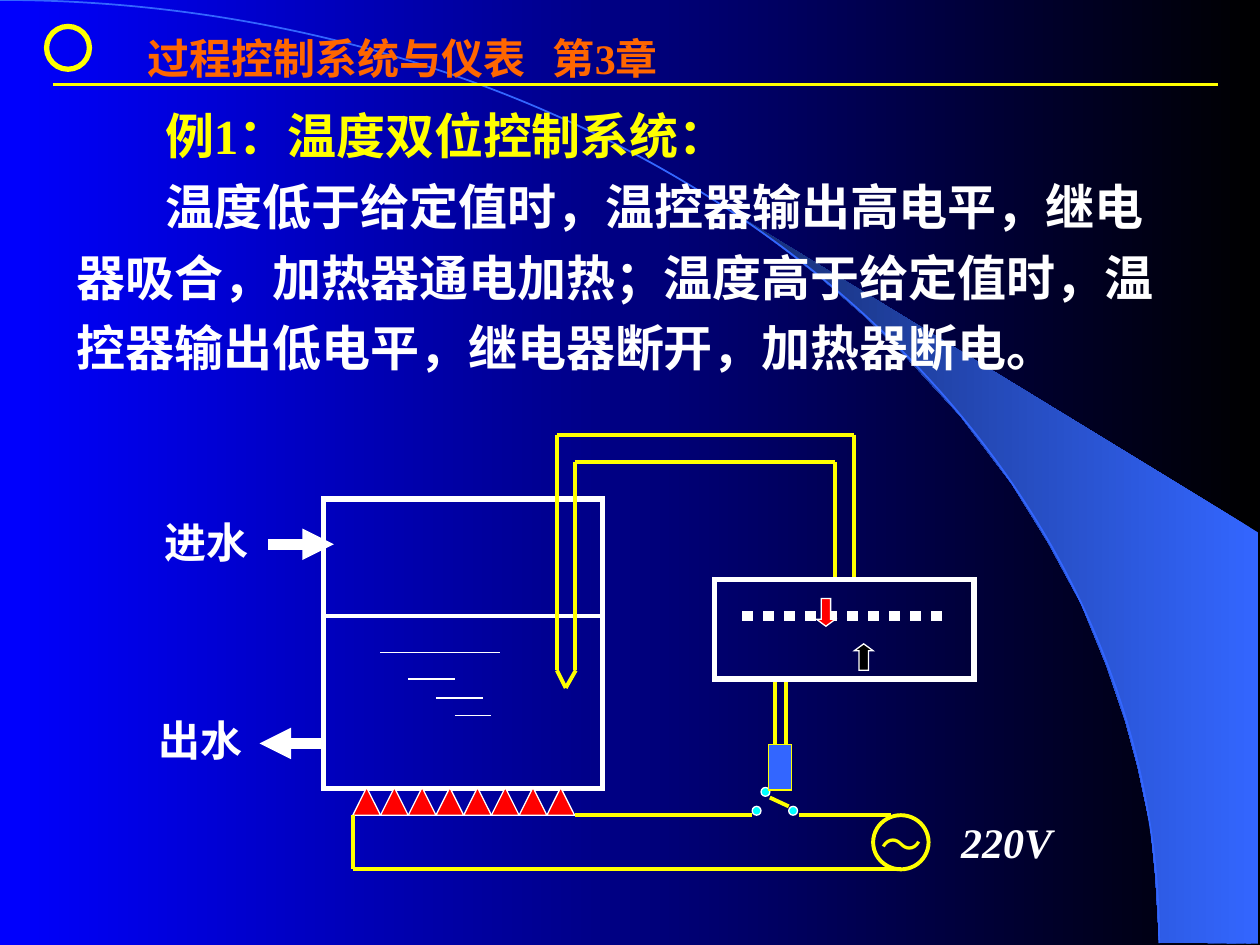
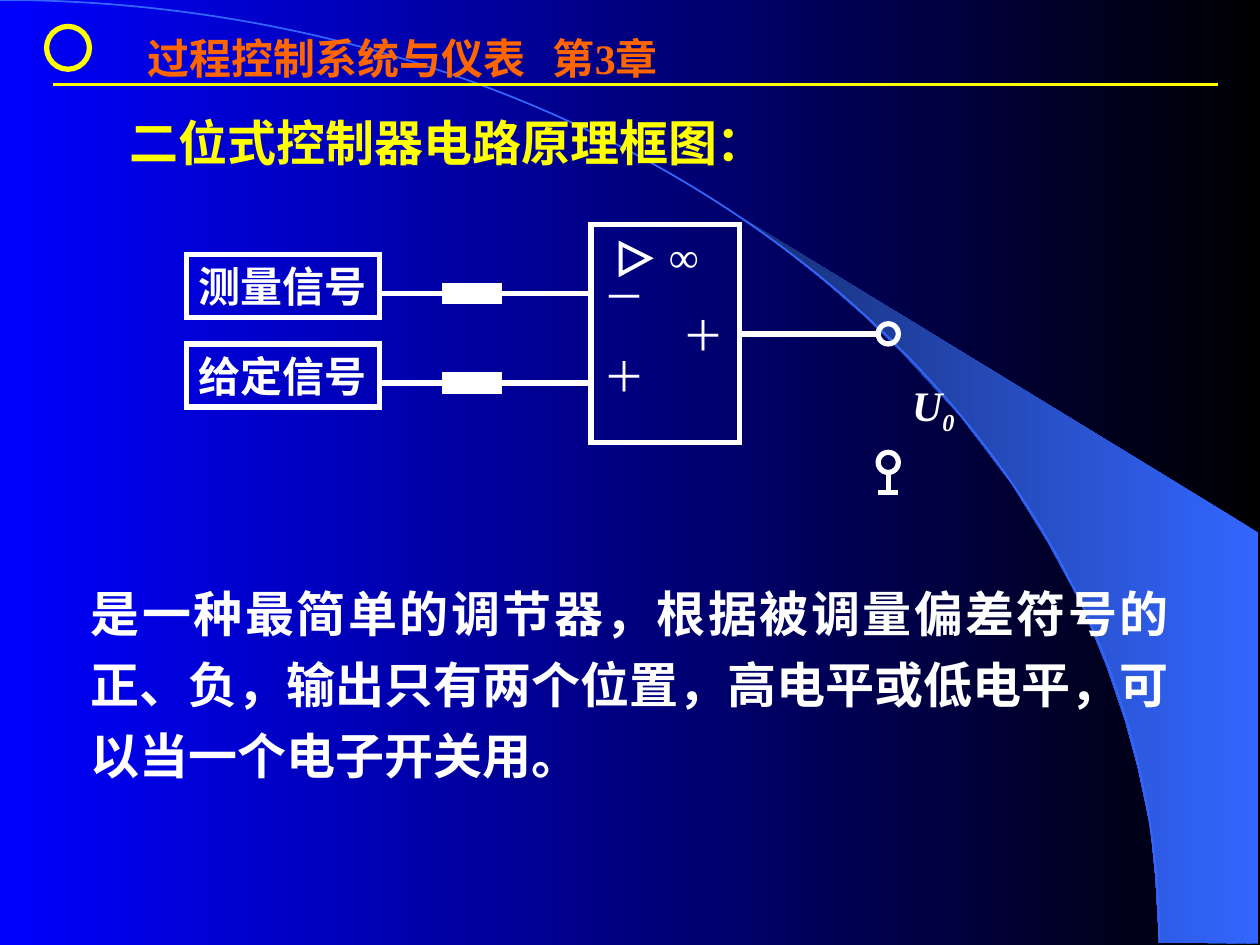
from typing import NamedTuple, Optional

from lxml import etree
from pptx import Presentation
from pptx import util as u
from pptx.dml.color import RGBColor
from pptx.enum import dml, lang, shapes, text
from pptx.oxml.ns import qn

WHITE = RGBColor(0xFF, 0xFF, 0xFF)
BLACK = RGBColor(0x00, 0x00, 0x00)
YELLOW = RGBColor(0xFF, 0xFF, 0x00)
ORANGE = RGBColor(0xFF, 0x66, 0x00)
RED = RGBColor(0xFF, 0x00, 0x00)
CYAN = RGBColor(0x00, 0xFF, 0xFF)
BLUE = RGBColor(0x00, 0x00, 0xFF)
SKY = RGBColor(0x33, 0x66, 0xFF)
NAVY = RGBColor(0x17, 0x2F, 0x75)
FONT = "Times New Roman"
SHAPE = shapes.MSO_SHAPE

# Outline of the bright wedge on the right, in inches
WEDGE = [(9.2, 7.48), (9.99, 7.49), (9.99, 4.23), (5.89, 1.73), (6.24, 1.99),
         (6.53, 2.22), (6.85, 2.5), (7.16, 2.8), (7.62, 3.3), (8.03, 3.84),
         (8.32, 4.31), (8.58, 4.79), (8.78, 5.28), (8.93, 5.72),
         (9.03, 6.09), (9.13, 6.56), (9.17, 6.96)]


class Area(NamedTuple):
    left: float
    top: float
    width: float
    height: float


class Figure(NamedTuple):
    kind: SHAPE
    area: Area
    fill: Optional[RGBColor] = None
    line: Optional[RGBColor] = WHITE
    weight: float = 0.75
    turn: float = 0
    adjust: tuple = ()


class Stroke(NamedTuple):
    x1: float
    y1: float
    x2: float
    y2: float
    color: RGBColor = WHITE
    weight: float = 3
    arrow: bool = False
    dotted: bool = False


class Label(NamedTuple):
    words: str
    area: Area
    color: RGBColor = WHITE
    bold: bool = False
    italic: bool = False
    spacing: float = 1


def inch(value: float) -> u.Cm:
    return u.Cm(value * 2.54)


def place(area: Area) -> list:
    return [inch(value) for value in area]


def paint_gradient(fill, right: RGBColor, left: RGBColor) -> None:
    fill.gradient()
    fill.gradient_angle = 180
    for stop, color in zip(fill.gradient_stops, (right, left)):
        stop.color.rgb = color


def style(para, size: float, color: RGBColor, bold: bool = True,
          italic: bool = False) -> None:
    for span in para.runs:
        font = span.font
        font.name, font.size = FONT, u.Pt(size)
        font.bold, font.italic = bold, italic
        font.color.rgb = color
        font.language_id = lang.MSO_LANGUAGE_ID.SIMPLIFIED_CHINESE


def draw_figure(page, figure: Figure):
    shape = page.shapes.add_shape(figure.kind, *place(figure.area))
    shape.shadow.inherit = False
    shape.rotation = figure.turn
    for index, value in enumerate(figure.adjust):
        shape.adjustments[index] = value
    if figure.fill is None:
        shape.fill.background()
    else:
        shape.fill.solid()
        shape.fill.fore_color.rgb = figure.fill
    shape.line.color.rgb = figure.line
    shape.line.width = u.Pt(figure.weight)
    outline = shape._element.spPr.find(qn("a:ln"))
    etree.SubElement(outline, qn("a:miter"), lim="800000")  # sharp corners
    return shape


def draw_stroke(page, stroke: Stroke) -> None:
    ends = [inch(value) for value in stroke[:4]]
    line = page.shapes.add_connector(shapes.MSO_CONNECTOR.STRAIGHT, *ends)
    line.line.color.rgb = stroke.color
    line.line.width = u.Pt(stroke.weight)
    if stroke.dotted:
        line.line.dash_style = dml.MSO_LINE.ROUND_DOT
    properties = line._element.spPr
    if stroke.arrow:
        etree.SubElement(properties.find(qn("a:ln")), qn("a:tailEnd"), type="triangle")
    etree.SubElement(properties, qn("a:effectLst"))


def draw_label(page, label: Label):
    box = page.shapes.add_textbox(*place(label.area))
    frame = box.text_frame
    frame.word_wrap = False
    frame.auto_size = text.MSO_AUTO_SIZE.SHAPE_TO_FIT_TEXT
    frame.text = label.words
    para = frame.paragraphs[0]
    para.line_spacing = label.spacing
    style(para, 24, label.color, label.bold, label.italic)
    return box


def draw_all(page, items: list) -> None:
    draw = {Figure: draw_figure, Stroke: draw_stroke, Label: draw_label}
    for item in items:
        draw[type(item)](page, item)


def draw_backdrop(page) -> None:
    # Wedge and arc
    points = [(inch(x), inch(y)) for x, y in WEDGE]
    builder = page.shapes.build_freeform(*points[0], scale=1.0)
    builder.add_line_segments(points[1:], close=True)
    wedge = builder.convert_to_shape()
    wedge.shadow.inherit = False
    wedge.line.fill.background()
    paint_gradient(wedge.fill, SKY, NAVY)
    draw_figure(page, Figure(SHAPE.ARC, Area(-9.2, 0, 18.4, 14.97), line=SKY, weight=1))
    # Chapter band
    draw_figure(page, Figure(SHAPE.OVAL, Area(0.37, 0.21, 0.34, 0.34),
                             line=YELLOW, weight=3))
    draw_stroke(page, Stroke(0.42, 0.67, 9.67, 0.67, YELLOW, 1.5))
    box = page.shapes.add_textbox(*place(Area(1.07, 0.21, 4.49, 0.5)))
    box.text_frame.word_wrap = True
    para = box.text_frame.paragraphs[0]
    para.text = "过程控制系统与仪表\t第3章"
    tabs = etree.SubElement(para._p.get_or_add_pPr(), qn("a:tabLst"))
    etree.SubElement(tabs, qn("a:tab"), pos=str(inch(3.22)), algn="l")
    style(para, 24, ORANGE)


def fill_placeholder(box, words: str, area: Area, color: RGBColor,
                     spacing: float = 1, indent: float = 0,
                     align=text.PP_ALIGN.LEFT) -> None:
    box.left, box.top, box.width, box.height = place(area)
    box._element.getparent().append(box._element)  # bring to front
    frame = box.text_frame
    frame.text = words
    frame.word_wrap = True
    frame.auto_size = text.MSO_AUTO_SIZE.NONE
    frame.vertical_anchor = text.MSO_ANCHOR.TOP
    para = frame.paragraphs[0]
    properties = para._p.get_or_add_pPr()
    properties.set("marL", "0")
    properties.set("indent", str(inch(indent)))
    properties.set("hangingPunct", "0")
    etree.SubElement(properties, qn("a:buNone"))
    para.alignment = align
    para.line_spacing = spacing
    para.space_before = u.Pt(0)
    style(para, 28, color)


def add_page(deck):
    page = deck.slides.add_slide(deck.slide_layouts[1])
    draw_backdrop(page)
    return page


def build_heater_page(deck) -> None:
    page = add_page(deck)
    fill_placeholder(page.shapes.title, "例1：温度双位控制系统：",
                     Area(1.21, 0.79, 8, 0.57), YELLOW)
    fill_placeholder(
        page.placeholders[1],
        "温度低于给定值时，温控器输出高电平，继电器吸合，加热器通电加热；"
        "温度高于给定值时，温控器输出低电平，继电器断开，加热器断电。",
        Area(0.51, 1.26, 8.97, 1.78), WHITE, spacing=1.2, indent=0.7)

    # Tank with inlet, outlet and water
    draw_all(page, [
        Figure(SHAPE.RECTANGLE, Area(2.57, 3.96, 2.21, 2.3), weight=3),
        Stroke(2.13, 4.32, 2.65, 4.32, weight=6, arrow=True),
        Stroke(2.57, 5.9, 2.06, 5.9, weight=6, arrow=True),
        Stroke(2.57, 4.89, 4.79, 4.89, weight=2.25),
    ])
    for left, right, y in [(3.02, 3.97, 5.18), (3.24, 3.61, 5.39),
                           (3.46, 3.83, 5.54), (3.61, 3.9, 5.68)]:
        draw_stroke(page, Stroke(left, y, right, y, weight=0.75))

    # Heating elements
    step = 0.22
    for index in range(8):
        area = Area(2.8 + index * step, 6.25, step, step)
        draw_figure(page, Figure(SHAPE.FLOWCHART_EXTRACT, area, RED))

    # Wiring: supply circuit, switch, sensor tube, relay leads
    wires = [(4.56, 6.47, 5.97, 6.47), (2.8, 6.9, 7.15, 6.9), (2.8, 6.47, 2.8, 6.9),
             (6.34, 6.47, 7.07, 6.47), (6.26, 6.4, 6.11, 6.33),
             (6.63, 3.67, 6.63, 4.6), (4.42, 3.45, 4.42, 5.32),
             (4.56, 3.67, 4.56, 5.32), (4.42, 5.32, 4.49, 5.46),
             (4.57, 5.32, 4.49, 5.46), (4.56, 3.67, 6.63, 3.67),
             (4.42, 3.45, 6.78, 3.45), (6.78, 3.45, 6.78, 4.6),
             (6.15, 5.37, 6.15, 5.91), (6.24, 5.37, 6.24, 5.91)]
    draw_all(page, [Stroke(*wire, YELLOW, 2.25) for wire in wires])
    for left, top in [(6.26, 6.4), (6.04, 6.25), (5.97, 6.4)]:
        draw_figure(page, Figure(SHAPE.FLOWCHART_CONNECTOR,
                                 Area(left, top, 0.07, 0.07), CYAN))

    # Controller, relay coil, power source and labels
    draw_all(page, [
        Figure(SHAPE.RECTANGLE, Area(5.67, 4.6, 2.06, 0.79), weight=3),
        Stroke(5.89, 4.89, 7.52, 4.89, weight=6, dotted=True),
        Figure(SHAPE.DOWN_ARROW, Area(6.48, 4.75, 0.15, 0.22), RED, adjust=(0.5, 0.37)),
        Figure(SHAPE.UP_ARROW, Area(6.78, 5.11, 0.15, 0.21), BLACK, adjust=(0.5, 0.37)),
        Figure(SHAPE.RECTANGLE, Area(6.1, 5.91, 0.18, 0.36), SKY, YELLOW),
        Figure(SHAPE.OVAL, Area(6.93, 6.47, 0.44, 0.43), line=YELLOW, weight=2.25),
        Label("～", Area(6.89, 6.45, 0.53, 0.5), YELLOW),
        Label("220V", Area(7.53, 6.43, 0.92, 0.5), bold=True, italic=True),
        Label("进水", Area(1.21, 3.97, 0.9, 0.58), bold=True, spacing=1.2),
        Label("出水", Area(1.16, 5.54, 0.9, 0.58), bold=True, spacing=1.2),
    ])


def build_circuit_page(deck) -> None:
    page = add_page(deck)
    fill_placeholder(page.shapes.title, "二位式控制器电路原理框图：",
                     Area(0.93, 0.84, 8, 0.57), YELLOW)

    # Input signals with their resistors
    for name, top in [("测量信号", 2.02), ("给定信号", 2.73)]:
        draw_stroke(page, Stroke(3.03, top + 0.31, 4.69, top + 0.31))
        signal = draw_figure(page, Figure(SHAPE.RECTANGLE, Area(1.48, top, 1.53, 0.5),
                                          weight=3))
        frame = signal.text_frame
        frame.word_wrap = False
        frame.text = name
        style(frame.paragraphs[0], 24, WHITE)
        draw_figure(page, Figure(SHAPE.RECTANGLE, Area(3.51, top + 0.23, 0.47, 0.16), WHITE))

    # Comparator and output terminals
    draw_all(page, [
        Figure(SHAPE.RECTANGLE, Area(4.69, 1.78, 1.18, 1.73), weight=3),
        Figure(SHAPE.ISOSCELES_TRIANGLE, Area(4.92, 1.94, 0.24, 0.23),
               weight=2.25, turn=90, adjust=(0.48,)),
        Label("∞", Area(5.21, 1.78, 0.44, 0.5)),
        Label("－", Area(4.69, 2.1, 0.53, 0.5)),
        Label("＋", Area(4.69, 2.73, 0.53, 0.5)),
        Label("＋", Area(5.32, 2.41, 0.53, 0.5)),
        Stroke(5.87, 2.65, 6.97, 2.65),
        Figure(SHAPE.FLOWCHART_CONNECTOR, Area(6.97, 2.57, 0.16, 0.16), weight=3),
        Figure(SHAPE.FLOWCHART_CONNECTOR, Area(6.97, 3.59, 0.16, 0.16), weight=3),
        Stroke(7.05, 3.75, 7.05, 3.91),
        Stroke(6.97, 3.91, 7.13, 3.91),
    ])
    output = draw_label(page, Label("U", Area(7.14, 2.96, 0.54, 0.56), bold=True, italic=True))
    para = output.text_frame.paragraphs[0]
    subscript = para.add_run()
    subscript.text = "0"
    style(para, 24, WHITE, italic=True)
    subscript.font._element.set("baseline", "-25000")

    fill_placeholder(
        page.placeholders[1],
        "是一种最简单的调节器，根据被调量偏差符号的正、负，输出只有两个位置，"
        "高电平或低电平，可以当一个电子开关用。",
        Area(0.62, 4.49, 8.76, 1.87), WHITE, spacing=1.2,
        align=text.PP_ALIGN.JUSTIFY)


def main() -> None:
    deck = Presentation()
    deck.slide_width, deck.slide_height = inch(10), inch(7.5)
    paint_gradient(deck.slide_master.background.fill, BLACK, BLUE)
    build_heater_page(deck)
    build_circuit_page(deck)
    deck.save("out.pptx")


if __name__ == "__main__":
    main()
